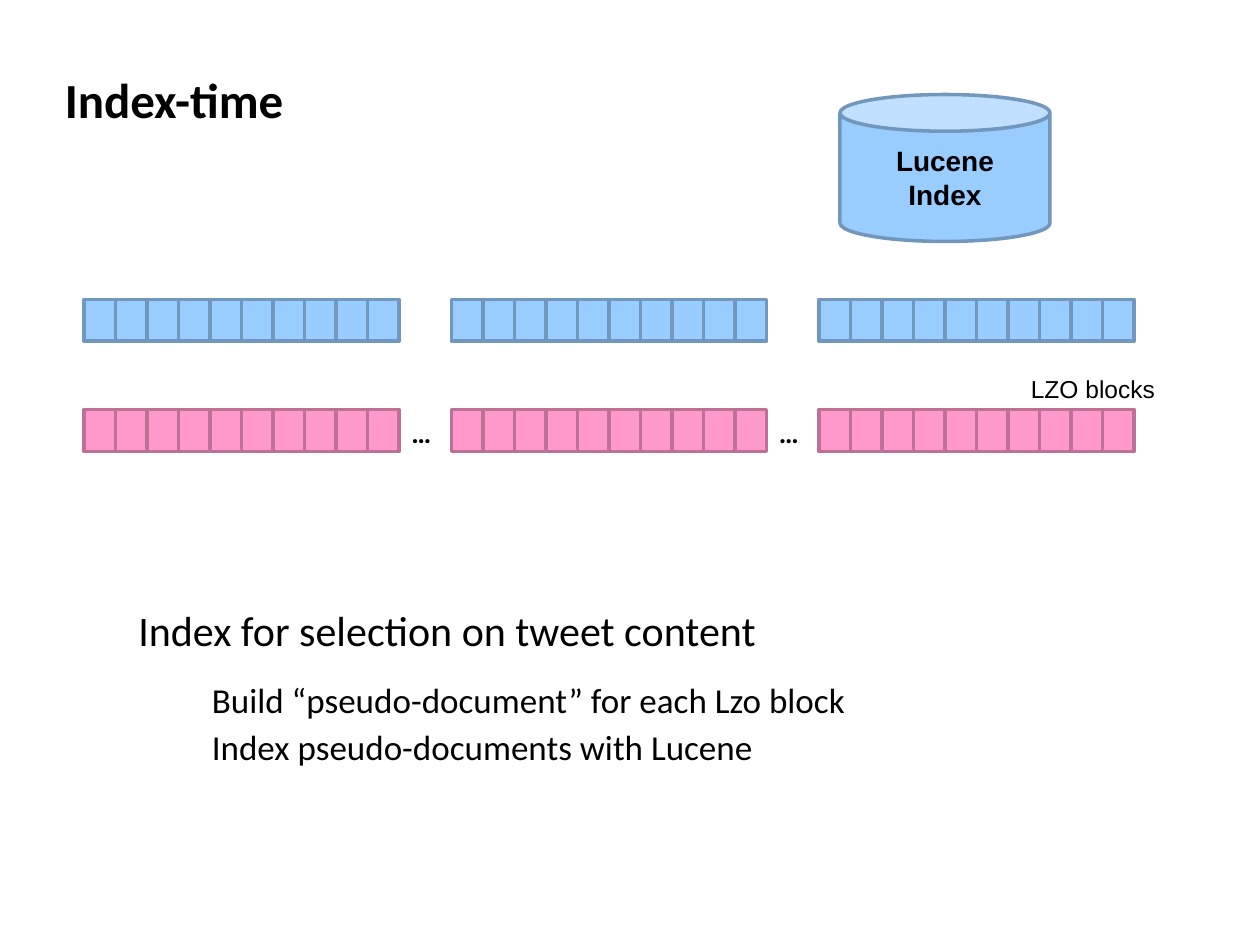
from pptx import Presentation
from pptx.dml.color import RGBColor
from pptx.enum.shapes import MSO_SHAPE
from pptx.enum.text import MSO_ANCHOR, MSO_AUTO_SIZE, PP_ALIGN
from pptx.util import Emu, Pt

BLUE = ("99CCFF", "7197BD")
PINK = ("FF99CC", "BD7197")
BLOCKS, CELLS = 3, 10
CELL, HIGH, STEP = 24, 32, 280


def px(num):
    """Turn whole px, 96 to the inch, into EMU."""
    return Emu(num * 9525)


def tint(code):
    """Turn a hex string into a colour."""
    return RGBColor.from_string(code)


def style(frame, text, size, face="Calibri", bold=False, align=PP_ALIGN.LEFT):
    """Fill a text frame and format each of its paragraphs."""
    frame.text = text
    look = {"size": Pt(size), "name": face, "bold": bold}
    for para in frame.paragraphs:
        para.alignment = align
        for key, value in look.items():
            setattr(para.font, key, value)
        para.font.color.rgb = tint("000000")


def label(host, box, text, size, **look):
    """Add one line of text that does not wrap."""
    frame = host.add_textbox(*map(px, box)).text_frame
    form = {"word_wrap": False, "auto_size": MSO_AUTO_SIZE.SHAPE_TO_FIT_TEXT}
    for key, value in form.items():
        setattr(frame, key, value)
    style(frame, text, size, **look)


def solid(host, kind, box, pair):
    """Add a flat shape with a fill and line from a colour pair."""
    shape = host.add_shape(kind, *map(px, box))
    shape.shadow.inherit = False
    shape.fill.solid()
    shape.fill.fore_color.rgb = tint(pair[0])
    shape.line.color.rgb = tint(pair[1])
    shape.line.width = Pt(2)
    return shape


def strip(host, left, top, pair):
    """Draw a row of blocks, each cut into equal cells."""
    for block in range(BLOCKS):
        for cell in range(CELLS):
            box = (left + block * STEP + cell * CELL, top, CELL, HIGH)
            solid(host, MSO_SHAPE.RECTANGLE, box, pair)


def source(host, left, top):
    """Draw the LZO blocks with their dots and caption."""
    strip(host, left, top, PINK)
    for gap in range(BLOCKS - 1):
        spot = left + CELLS * CELL + gap * STEP
        label(host, (spot, top, 41, 35), "…", 16, bold=True)
    label(host, (left + 712, top - 32, 114, 33), "LZO blocks", 14, face="Arial")


def store(host, box):
    """Draw the index drum."""
    frame = solid(host, MSO_SHAPE.CAN, box, BLUE).text_frame
    frame.vertical_anchor = MSO_ANCHOR.MIDDLE
    style(frame, "Lucene\nIndex", 16, face="Arial", bold=True,
          align=PP_ALIGN.CENTER)


def notes(host, left, top):
    """Write the main point and its two steps."""
    label(host, (left, top, 502, 48), "Index for selection on tweet content", 24)
    steps = (("Build “pseudo-document” for each Lzo block", 510),
             ("Index pseudo-documents with Lucene", 435))
    for row, (text, wide) in enumerate(steps):
        label(host, (left + 56, top + 56 + row * 36, wide, 42), text, 20)


def main():
    """Build the slide and save it."""
    deck = Presentation()
    deck.slide_width, deck.slide_height = px(960), px(720)
    host = deck.slides.add_slide(deck.slide_layouts[6]).shapes
    source(host, 64, 312)
    store(host, (640, 72, 160, 112))
    strip(host.add_group_shape().shapes, 64, 228, BLUE)
    notes(host, 96, 456)
    label(host, (40, 48, 235, 55), "Index-time", 28, bold=True)
    deck.save("out.pptx")


if __name__ == "__main__":
    main()
